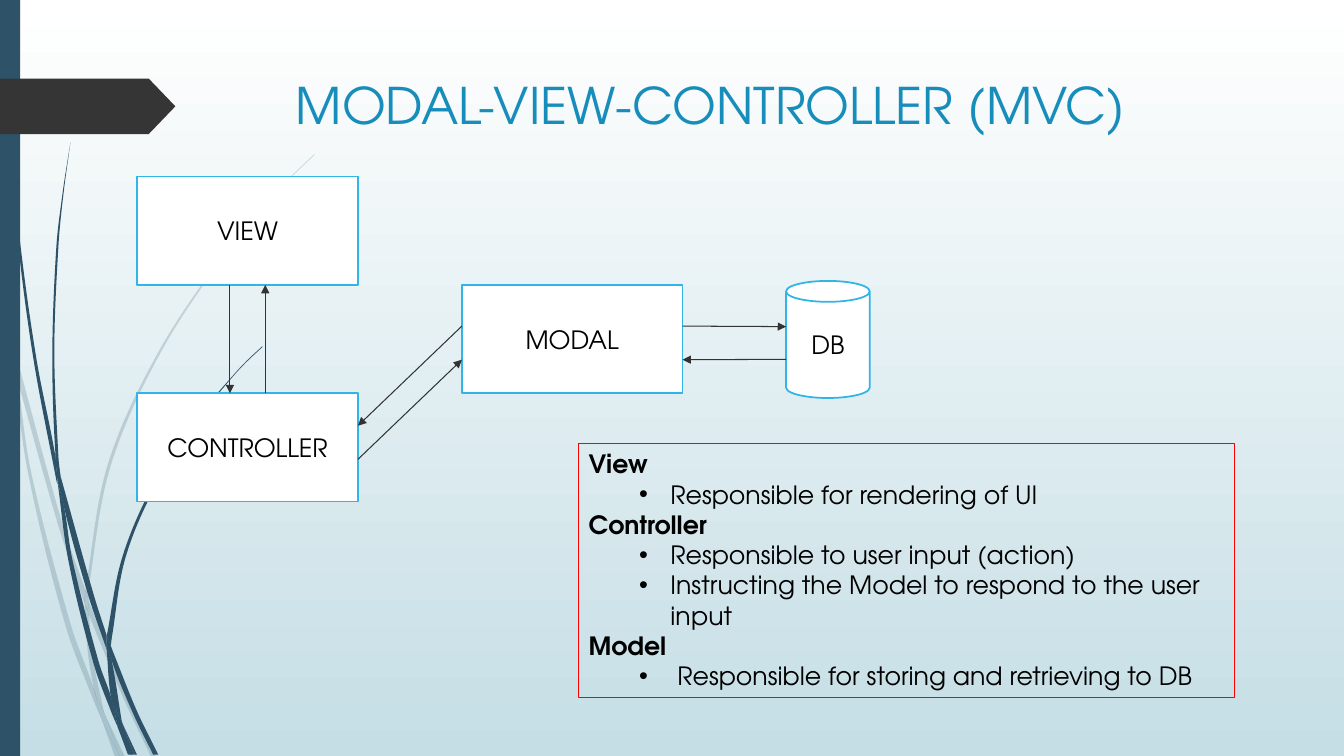
"""Build the Modal-View-Controller slide."""
import dataclasses
import math

import lxml.etree
import pptx
import pptx.dml.color
import pptx.enum.shapes
import pptx.enum.text
import pptx.oxml.ns
import pptx.util

Cm, Pt, qn = pptx.util.Cm, pptx.util.Pt, pptx.oxml.ns.qn
PRESET = pptx.enum.shapes.MSO_SHAPE
TEXT = pptx.enum.text

HEADLINE = "MODAL-VIEW-CONTROLLER (MVC)"
ROLES = [
    ("View", ["Responsible for rendering of UI"]),
    ("Controller", ["Responsible to user input (action)",
                    "Instructing the Model to respond to the user input"]),
    ("Model", [" Responsible for storing and retrieving to DB"]),
]
ROW_TOP, ROW_STEP = 4.45, 2.73
BOX_W, BOX_H = 5.56, 2.73
NODES = {
    "MODAL": (PRESET.RECTANGLE, (11.64, ROW_TOP + ROW_STEP, BOX_W, BOX_H)),
    "CONTROLLER": (PRESET.RECTANGLE, (3.46, ROW_TOP + 2 * ROW_STEP, BOX_W, BOX_H)),
    "VIEW": (PRESET.RECTANGLE, (3.46, ROW_TOP, BOX_W, BOX_H)),
    "DB": (PRESET.CAN, (19.81, 7.08, 2.11, 2.95)),
}
ARROWS = [
    (("VIEW", 0.42, 1), ("CONTROLLER", 0.42, 0)),
    (("CONTROLLER", 0.58, 0), ("VIEW", 0.58, 1)),
    (("CONTROLLER", 1, 0.61), ("MODAL", 0, 0.69)),
    (("MODAL", 0, 0.38), ("CONTROLLER", 1, 0.3)),
    (("MODAL", 1, 0.38), ("DB", 0, 0.39)),
    (("DB", 0, 0.67), ("MODAL", 1, 0.69)),
]
FAINT_STEMS = [
    ([(0, 282), (9, 322), (11, 350)], [(0, 299), (10, 344), (11, 350)]),
    ([(17, 376), (58, 522), (84, 599)], [(14, 345), (62, 520), (85, 586)]),
    ([(88, 610), (123, 694), (150, 751)], [(88, 596), (92, 607), (127, 692), (155, 751)]),
    ([(105, 711), (119, 751)], [(105, 711), (124, 751)]),
    ([(11, 350), (28, 470), (65, 621), (92, 693), (101, 714)],
     [(11, 350), (17, 376), (31, 469), (70, 619), (93, 683), (99, 707), (101, 714)]),
    ([(84, 599), (87, 646), (93, 683), (96, 692), (105, 711)],
     [(84, 599), (88, 608), (91, 646), (103, 706), (105, 711)]),
    ([(312, 153), (289, 175), (268, 197), (228, 244), (158, 348), (107, 461), (85, 584), (85, 586)],
     [(312, 154), (290, 175), (268, 198), (229, 245), (160, 349), (110, 462), (88, 584), (88, 596)]),
    ([(101, 714), (114, 751)], [(101, 714), (119, 751)]),
    ([(85, 586), (84, 599), (88, 608)], [(85, 586), (88, 596), (88, 610)]),
    ([(93, 683), (99, 707), (101, 714), (119, 751)], [(93, 683), (96, 692), (105, 711), (119, 751)]),
]
DARK_STEMS = [
    ([(3, 0), (4, 48), (7, 110), (17, 233), (33, 355), (56, 477), (57, 481)],
     [(4, 0), (5, 48), (8, 109), (19, 232), (36, 355), (55, 453), (57, 481)]),
    ([(60, 472), (64, 505), (88, 592), (106, 645)], [(60, 472), (93, 590), (106, 631)]),
    ([(110, 641), (111, 656), (132, 708), (152, 749)], [(110, 641), (113, 649), (136, 706), (157, 749)]),
    ([(57, 477), (68, 557), (93, 659), (111, 708), (117, 722)],
     [(57, 477), (64, 505), (72, 556), (98, 657), (110, 691), (116, 717), (117, 722)]),
    ([(70, 141), (62, 193), (56, 245), (52, 349), (55, 449), (60, 472)],
     [(70, 141), (63, 193), (58, 245), (54, 349), (58, 453), (60, 472)]),
    ([(122, 719), (133, 749)], [(122, 719), (136, 749)]),
    ([(55, 449), (55, 453), (57, 477)], [(55, 449), (60, 472), (64, 505)]),
    ([(260, 344), (245, 358), (231, 373), (204, 405), (156, 474), (122, 551), (106, 631)],
     [(261, 344), (245, 359), (231, 374), (205, 406), (158, 476), (125, 552), (111, 633), (110, 641)]),
    ([(117, 722), (127, 749)], [(117, 722), (131, 749)]),
    ([(106, 645), (110, 691), (116, 706), (122, 719)], [(106, 645), (111, 656), (121, 716), (122, 719)]),
    ([(106, 631), (106, 645), (109, 651)], [(106, 631), (110, 641), (111, 656)]),
    ([(110, 691), (116, 717), (117, 722), (130, 749)], [(110, 691), (116, 706), (122, 719), (133, 749)]),
]


@dataclasses.dataclass(frozen=True)
class Theme:
    font: str = "TeX Gyre Adventor"
    headline_size: float = 36
    text_size: float = 18
    headline: str = "178DBB"
    text: str = "000000"
    sky: tuple = ("FFFFFF", "C5DEE5")
    stem: str = "2E5369"
    tag: str = "353535"
    node: str = "FFFFFF"
    node_edge: str = "31B4E6"
    arrow: str = "333333"
    roles_edge: str = "FF0000"


THEME = Theme()


def assign(target, **values):
    for key, value in values.items():
        setattr(target, key, value)


def tint(color, code):
    color.rgb = pptx.dml.color.RGBColor.from_string(code)


def place(part, box):
    assign(part, **dict(zip(("left", "top", "width", "height"), map(Cm, box))))


def write(paragraph, words, size=THEME.text_size, color=THEME.text, bold=False):
    run = paragraph.add_run()
    run.text = words
    assign(run.font, name=THEME.font, size=Pt(size), bold=bold)
    tint(run.font.color, color)


def outline(line, code, width):
    tint(line.color, code)
    line.width = Pt(width)


def paint(part, fill):
    part.shadow.inherit = False
    part.fill.solid()
    tint(part.fill.fore_color, fill)
    part.line.fill.background()


def bend(knots):
    ends, curve = [knots[0], *knots, knots[-1]], []
    for a, b, c, d in zip(ends, ends[1:], ends[2:], ends[3:]):
        reach = math.dist(b, c) / 3
        leave, arrive = reach / math.dist(a, c), reach / math.dist(b, d)
        curve += [(b[0] + (c[0] - a[0]) * leave, b[1] + (c[1] - a[1]) * leave),
                  (c[0] - (d[0] - b[0]) * arrive, c[1] - (d[1] - b[1]) * arrive), c]
    return curve


def draw_stem(shapes, near, far, alpha=None):
    route = [near[0], *bend(near), near[-1], far[-1], far[-1], *bend(far[::-1])]
    fine = [(10 * x, 10 * y) for x, y in route]
    builder = shapes.build_freeform(*fine[0], scale=Cm(0.00254))
    builder.add_line_segments(fine[1:], close=True)
    stem = builder.convert_to_shape()
    steps = list(stem._element.spPr.iter(qn("a:lnTo")))[:len(route) - 1]
    for trio in zip(steps[::3], steps[1::3], steps[2::3]):
        curve = lxml.etree.Element(qn("a:cubicBezTo"))
        trio[0].addprevious(curve)
        for step in trio:
            curve.append(step[0])
            step.getparent().remove(step)
    paint(stem, THEME.stem)
    if alpha:
        color = stem._element.spPr.find(".//" + qn("a:srgbClr"))
        lxml.etree.SubElement(color, qn("a:alpha"), val=str(alpha * 1000))


def draw_backdrop(slide):
    sky = slide.background.fill
    sky.gradient()
    sky.gradient_angle = 270
    for stop, code in zip(sky.gradient_stops, THEME.sky):
        tint(stop.color, code)
    for stems, alpha in ((FAINT_STEMS, 20), (DARK_STEMS, None)):
        for near, far in stems:
            draw_stem(slide.shapes, near, far, alpha)
    paint(slide.shapes.add_shape(PRESET.RECTANGLE, 0, 0, Cm(0.51), Cm(19.05)), THEME.stem)
    tag = slide.shapes.add_shape(PRESET.PENTAGON, 0, Cm(1.98), Cm(4.42), Cm(1.4))
    tag.adjustments[0] = 0.48
    paint(tag, THEME.tag)


def draw_node(shapes, label, preset, box):
    node = shapes.add_shape(preset, *map(Cm, box))
    paint(node, THEME.node)
    outline(node.line, THEME.node_edge, 1.25)
    assign(node.text_frame, word_wrap=True, vertical_anchor=TEXT.MSO_ANCHOR.MIDDLE)
    node.text_frame.paragraphs[0].alignment = TEXT.PP_ALIGN.CENTER
    write(node.text_frame.paragraphs[0], label)


def anchor(label, across, down):
    left, top, width, height = NODES[label][1]
    return Cm(left + across * width), Cm(top + down * height)


def draw_arrow(shapes, start, end):
    arrow = shapes.add_connector(pptx.enum.shapes.MSO_CONNECTOR.STRAIGHT, *anchor(*start), *anchor(*end))
    outline(arrow.line, THEME.arrow, 0.75)
    lxml.etree.SubElement(arrow._element.spPr.find(qn("a:ln")), qn("a:tailEnd"), type="triangle")
    lxml.etree.SubElement(arrow._element.spPr, qn("a:effectLst"))


def fill_placeholder(holder, box):
    place(holder, box)
    assign(holder.text_frame, word_wrap=True, auto_size=TEXT.MSO_AUTO_SIZE.NONE,
           vertical_anchor=TEXT.MSO_ANCHOR.TOP)
    return holder.text_frame


def write_roles(roles):
    frame = fill_placeholder(roles, (14.58, 11.18, 16.54, 6.4))
    outline(roles.line, THEME.roles_edge, 0.75)
    lines = [line for role, duties in ROLES for line in [(role, 0), *((duty, 1) for duty in duties)]]
    for index, (words, level) in enumerate(lines):
        paragraph = frame.add_paragraph() if index else frame.paragraphs[0]
        assign(paragraph, level=level, space_before=Pt(0))
        layout = paragraph._p.get_or_add_pPr()
        layout.set("marL", str(Cm(2.06 * level)))
        layout.set("indent", str(Cm(-0.79 * level)))
        bullet = lxml.etree.SubElement(layout, qn("a:buChar" if level else "a:buNone"))
        if level:
            bullet.set("char", "•")
        write(paragraph, words, bold=not level)


def main():
    deck = pptx.Presentation()
    assign(deck, slide_width=Cm(33.87), slide_height=Cm(19.05))
    slide = deck.slides.add_slide(deck.slide_layouts[1])
    draw_backdrop(slide)
    headline = fill_placeholder(slide.shapes.title, (7.2, 1.73, 24.77, 3.56)).paragraphs[0]
    headline.alignment = TEXT.PP_ALIGN.LEFT
    write(headline, HEADLINE, THEME.headline_size, THEME.headline)
    for label, (preset, box) in NODES.items():
        draw_node(slide.shapes, label, preset, box)
    for ends in ARROWS:
        draw_arrow(slide.shapes, *ends)
    write_roles(slide.placeholders[1])
    deck.save("out.pptx")


if __name__ == "__main__":
    main()
